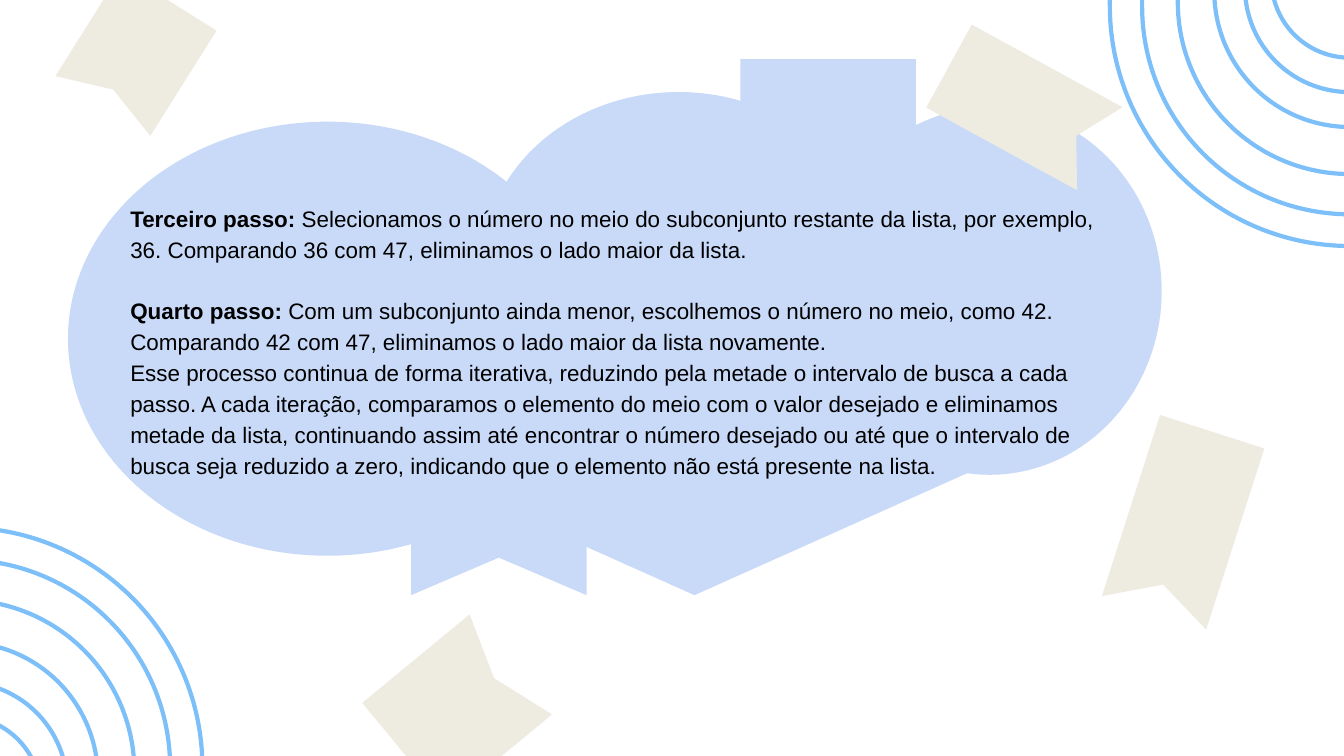
import dataclasses

import pptx
import pptx.dml.color
import pptx.enum.shapes
import pptx.enum.text
import pptx.util

Cm = pptx.util.Cm
Pt = pptx.util.Pt
Preset = pptx.enum.shapes.MSO_SHAPE


@dataclasses.dataclass(frozen=True)
class Theme:
    font: str = "Arial"
    text: str = "000000"
    cloud: str = "C9DAF8"
    ribbon: str = "EEECE1"
    ring: str = "7DBFF8"
    body_size: float = 24
    paragraph_gap: float = 33
    line_spacing: float = 1.15
    ring_width: float = 4.5


@dataclasses.dataclass(frozen=True)
class Frame:
    """Position, size (cm) and clockwise rotation (degrees)."""
    left: float
    top: float
    width: float
    height: float
    rotation: float = 0


@dataclasses.dataclass(frozen=True)
class Ring:
    """An arch; upper_end and lower_top are its curved ends in the two corners."""
    width: float
    height: float
    upper_end: float
    lower_top: float


@dataclasses.dataclass(frozen=True)
class Step:
    heading: str
    body: str
    gap_before: float = 0


THEME = Theme()
PAGE_WIDTH, PAGE_HEIGHT = 50.8, 28.58
NOTCH_DEPTH = 0.156
UPPER_CENTRE, LOWER_CENTRE = 51, -1.42

RINGS = [
    Ring(18.14, 29.49, 9.3, 19.94),
    Ring(15.7, 26.75, 8.1, 21.16),
    Ring(13, 23.52, 6.58, 22.68),
    Ring(10.24, 20.35, 4.8, 24.28),
    Ring(7.92, 17.73, 3.48, 25.78),
    Ring(5.92, 15.24, 2.18, 27.08),
]
CLOUD_PARTS = [
    (Preset.OVAL, Frame(2.57, 4.6, 19.61, 16.41)),
    (Preset.DIAMOND, Frame(10.72, 8.61, 31.06, 13.89)),
    (Preset.OVAL, Frame(30.91, 4.06, 13, 13.89)),
    (Preset.OVAL, Frame(18.26, 3.48, 14.78, 12.93)),
]
CLOUD_RIBBONS = [Frame(15.54, 13.41, 6.63, 9.09), Frame(27.99, 2.24, 6.63, 9.09)]
LOOSE_RIBBONS = [
    Frame(3.02, -0.33, 4.24, 4.7, 32.2),
    Frame(42.65, 16.15, 4.14, 7.19, 17.8),
    Frame(14.83, 24.16, 4.9, 5.26, 230.5),
    Frame(36.93, 0.81, 3.58, 6.5, 298.7),
]
TEXT_FRAME = Frame(4.67, 7.47, 38, 10.49)
STEPS = [
    Step("Terceiro passo:", " Selecionamos o número no meio do subconjunto restante da lista, "
         "por exemplo, 36. Comparando 36 com 47, eliminamos o lado maior da lista."),
    Step("Quarto passo:", " Com um subconjunto ainda menor, escolhemos o número no meio, "
         "como 42. Comparando 42 com 47, eliminamos o lado maior da lista novamente.",
         THEME.paragraph_gap),
    Step("", "Esse processo continua de forma iterativa, reduzindo pela metade o intervalo "
         "de busca a cada passo. A cada iteração, comparamos o elemento do meio com o valor "
         "desejado e eliminamos metade da lista, continuando assim até encontrar o número "
         "desejado ou até que o intervalo de busca seja reduzido a zero, indicando que o "
         "elemento não está presente na lista."),
]


def colour(value: str) -> pptx.dml.color.RGBColor:
    return pptx.dml.color.RGBColor.from_string(value)


def place(shape, frame: Frame) -> None:
    shape.left, shape.top = Cm(frame.left), Cm(frame.top)
    shape.width, shape.height = Cm(frame.width), Cm(frame.height)
    shape.rotation = frame.rotation


def fill_plain(shape, fill: str) -> None:
    shape.shadow.inherit = False
    shape.fill.solid()
    shape.fill.fore_color.rgb = colour(fill)
    shape.line.fill.background()


def add_preset(shapes, preset: Preset, frame: Frame):
    shape = shapes.add_shape(preset, 0, 0, 0, 0)
    place(shape, frame)
    return shape


def add_ring(shapes, frame: Frame) -> None:
    ring = add_preset(shapes, Preset.ROUND_2_SAME_RECTANGLE, frame)
    ring.adjustments[0] = 0.5
    ring.shadow.inherit = False
    ring.fill.background()
    ring.line.color.rgb = colour(THEME.ring)
    ring.line.width = Pt(THEME.ring_width)


def add_ribbon(shapes, frame: Frame, fill: str) -> None:
    """Draw a rectangle whose lower edge has a swallowtail notch."""
    width, height = Cm(frame.width), Cm(frame.height)
    notch = (width / 2, height * (1 - NOTCH_DEPTH))
    builder = shapes.build_freeform(0, 0)
    builder.add_line_segments([(width, 0), (width, height), notch, (0, height)])
    ribbon = builder.convert_to_shape()
    place(ribbon, frame)
    fill_plain(ribbon, fill)


def add_rings(shapes) -> None:
    for ring in RINGS:
        add_ring(shapes, Frame(UPPER_CENTRE - ring.width / 2, ring.upper_end - ring.height,
                               ring.width, ring.height, 179.8))
    for ring in RINGS:
        add_ring(shapes, Frame(LOWER_CENTRE - ring.width / 2, ring.lower_top,
                               ring.width, ring.height))


def add_cloud(shapes) -> None:
    cloud = shapes.add_group_shape()
    for preset, frame in CLOUD_PARTS:
        fill_plain(add_preset(cloud.shapes, preset, frame), THEME.cloud)
    for frame in CLOUD_RIBBONS:
        add_ribbon(cloud.shapes, frame, THEME.cloud)


def write_steps(title) -> None:
    place(title, TEXT_FRAME)
    box = title.text_frame
    box.word_wrap = True
    box.auto_size = pptx.enum.text.MSO_AUTO_SIZE.NONE
    box.vertical_anchor = pptx.enum.text.MSO_ANCHOR.TOP
    for index, step in enumerate(STEPS):
        para = box.add_paragraph() if index else box.paragraphs[0]
        para.alignment = pptx.enum.text.PP_ALIGN.LEFT
        para.line_spacing = THEME.line_spacing
        if step.gap_before:
            para.space_before = Pt(step.gap_before)
        for words, bold in ((step.heading, True), (step.body, False)):
            if words:
                span = para.add_run()
                span.text = words
                span.font.name = THEME.font
                span.font.size = Pt(THEME.body_size)
                span.font.bold = bold
                span.font.color.rgb = colour(THEME.text)


def main() -> None:
    deck = pptx.Presentation()
    deck.slide_width, deck.slide_height = Cm(PAGE_WIDTH), Cm(PAGE_HEIGHT)
    page = deck.slides.add_slide(deck.slide_layouts[5])
    shapes = page.shapes
    title = shapes.title
    add_rings(shapes)
    add_cloud(shapes)
    write_steps(title)
    title.element.getparent().append(title.element)  # bring the text above the cloud
    for frame in LOOSE_RIBBONS:
        add_ribbon(shapes, frame, THEME.ribbon)
    deck.save("out.pptx")


if __name__ == "__main__":
    main()
